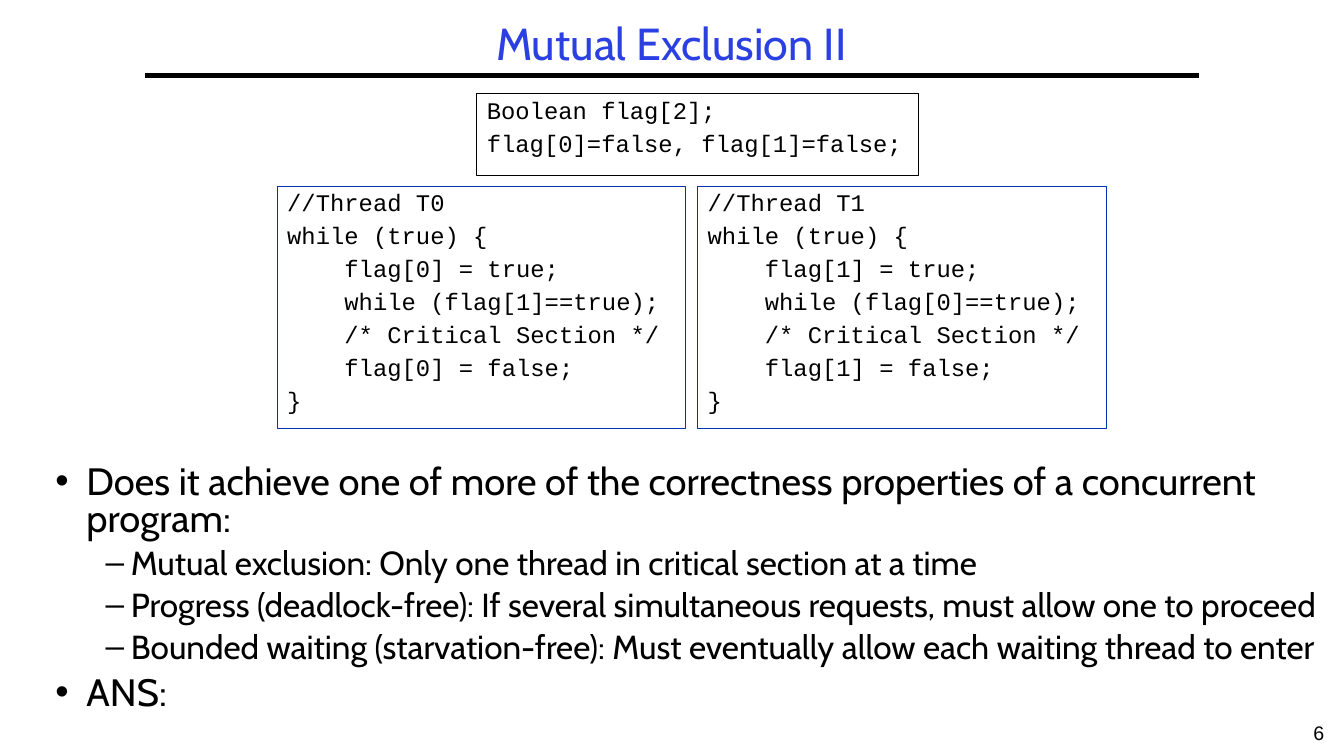
from lxml import etree
from pptx import Presentation
from pptx.dml.color import RGBColor
from pptx.enum.shapes import MSO_CONNECTOR, MSO_SHAPE
from pptx.enum.text import MSO_ANCHOR, PP_ALIGN
from pptx.oxml.ns import qn
from pptx.util import Inches, Pt

LEFT, CENTER = PP_ALIGN.LEFT, PP_ALIGN.CENTER
TOP, MIDDLE = MSO_ANCHOR.TOP, MSO_ANCHOR.MIDDLE
RECTANGLE, STRAIGHT = MSO_SHAPE.RECTANGLE, MSO_CONNECTOR.STRAIGHT

# Content
TITLE = "Mutual Exclusion II"
PAGE_NUMBER = "6"
DECLARATIONS = ["Boolean flag[2];", "flag[0]=false, flag[1]=false;"]
THREAD_CODE = [
    "//Thread T{me}",
    "while (true) {{",
    "    flag[{me}] = true;",
    "    while (flag[{other}]==true);",
    "    /* Critical Section */",
    "    flag[{me}] = false;",
    "}}",
]
THREADS = [(0, 1), (1, 0)]
POINTS = [  # level, text
    (0, "Does it achieve one of more of the correctness properties of a concurrent program:"),
    (1, "Mutual exclusion: Only one thread in critical section at a time"),
    (1, "Progress (deadlock-free): If several simultaneous requests, must allow one to proceed"),
    (1, "Bounded waiting (starvation-free): Must eventually allow each waiting thread to enter"),
    (0, "ANS:"),
]
LEVELS = [  # bullet, size, left margin, hanging indent
    ("•", 27.2, 0.31, 0.31),
    ("–", 23.8, 0.75, 0.25),
]
COLORS = {"text": "000000", "title": "2A40E2", "thread": "0234AD"}

# Layout
THREAD_LEFT, THREAD_TOP, THREAD_WIDTH, THREAD_HEIGHT = 2.75, 1.85, 4.05, 2.4
THREAD_STEP = THREAD_WIDTH + 0.12
RULE_LEFT, RULE_RIGHT, RULE_TOP = 1.44, 11.89, 0.75

deck = Presentation()
deck.slide_width, deck.slide_height = Inches(13.33), Inches(7.5)
page = deck.slides.add_slide(deck.slide_layouts[6])


def color(name):
    return RGBColor.from_string(COLORS[name])


def write(para, text, *, size, font, ink="text", align=LEFT, spacing=None,
          before=None, bullet=None, margin=0, hanging=0):
    """Fill one paragraph; before is a percentage of the line height."""
    para.alignment = align
    if spacing:
        para.line_spacing = spacing
    properties = para._p.get_or_add_pPr()
    if before:
        gap = etree.SubElement(properties, qn("a:spcBef"))
        etree.SubElement(gap, qn("a:spcPct"), val=str(before * 1000))
    if bullet:
        properties.set("marL", str(Inches(margin)))
        properties.set("indent", str(-Inches(hanging)))
        etree.SubElement(properties, qn("a:buFont"), typeface="Arial")
        etree.SubElement(properties, qn("a:buChar"), char=bullet)
    span = para.add_run()
    span.text = text
    span.font.size, span.font.name = Pt(size), font
    span.font.color.rgb = color(ink)


def paragraphs(frame, count):
    return [frame.paragraphs[0]] + [frame.add_paragraph() for _ in range(count - 1)]


def text_box(left, top, width, height, anchor=TOP):
    box = page.shapes.add_textbox(*map(Inches, (left, top, width, height)))
    box.text_frame.word_wrap = True
    box.text_frame.vertical_anchor = anchor
    return box.text_frame


def code_box(lines, left, top, width, height, outline):
    box = page.shapes.add_shape(RECTANGLE, *map(Inches, (left, top, width, height)))
    box.shadow.inherit = False
    box.fill.background()
    box.line.color.rgb, box.line.width = color(outline), Pt(0.75)
    box.text_frame.word_wrap = True
    box.text_frame.vertical_anchor = TOP
    for para, line in zip(paragraphs(box.text_frame, len(lines)), lines):
        write(para, line, size=17, font="Courier New", spacing=0.9, before=30)


# Rule under the title
rule = page.shapes.add_connector(
    STRAIGHT, *map(Inches, (RULE_LEFT, RULE_TOP, RULE_RIGHT, RULE_TOP)))
rule.line.color.rgb, rule.line.width = color("text"), Pt(3)
etree.SubElement(rule._element.spPr, qn("a:effectLst"))

# Page number and title
write(text_box(12.83, 7.1, 0.5, 0.4).paragraphs[0], PAGE_NUMBER,
      size=14, font="Arial", align=CENTER)
write(text_box(RULE_LEFT, 0.17, 10.44, 0.58, MIDDLE).paragraphs[0], TITLE,
      size=32, font="Cabin", ink="title", align=CENTER, spacing=0.9)

# Bulleted points
body = text_box(0.45, 4.58, 12.94, 2.76)
for para, (level, text) in zip(paragraphs(body, len(POINTS)), POINTS):
    bullet, size, margin, hanging = LEVELS[level]
    para.level = level
    write(para, text, size=size, font="Cabin", spacing=0.8, before=30,
          bullet=bullet, margin=margin, hanging=hanging)

# Thread code side by side, shared declarations above
for column, (me, other) in enumerate(THREADS):
    code_box([line.format(me=me, other=other) for line in THREAD_CODE],
             THREAD_LEFT + column * THREAD_STEP, THREAD_TOP,
             THREAD_WIDTH, THREAD_HEIGHT, "thread")
code_box(DECLARATIONS, 4.73, 0.93, 4.38, 0.81, "text")

deck.save("out.pptx")
